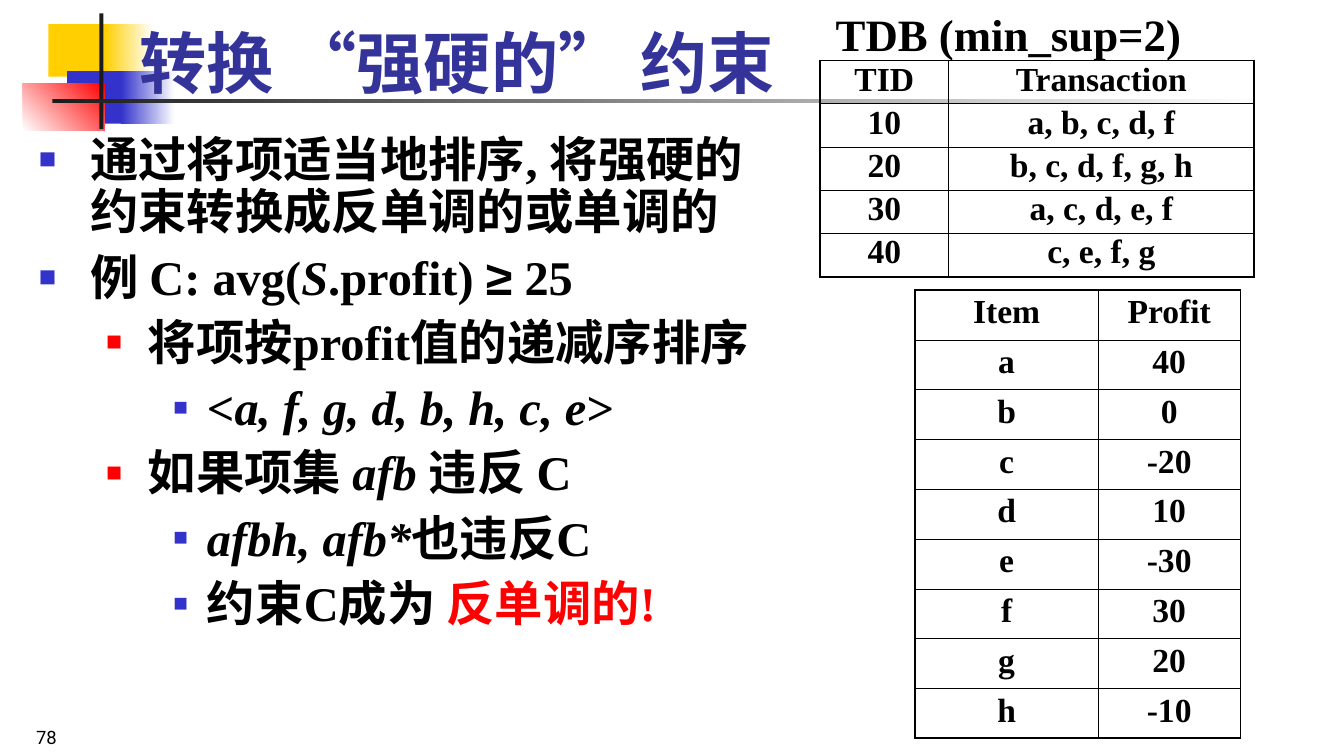
from lxml.etree import SubElement
from pptx import Presentation
from pptx.dml.color import RGBColor
from pptx.enum.shapes import MSO_SHAPE
from pptx.enum.text import MSO_ANCHOR, MSO_AUTO_SIZE, PP_ALIGN
from pptx.oxml.ns import qn
from pptx.util import Inches, Pt

COLORS = {
    "black": "000000", "white": "FFFFFF", "yellow": "FFCF01", "blue": "3333CC",
    "red": "FF0000", "dark": "1C1C1C", "title": "333399",
}
BULLETS = [(0.38, 0.38, "blue", 60), (0.81, 0.31, "red", 55), (1.25, 0.25, "blue", 50)]
ITALIC = {"italic": True}

DECORATIONS = [
    (0.36, 0.18, 0.48, 0.39, ["yellow"], 0),
    (0.78, 0.18, 0.36, 0.39, ["yellow", "white"], 0),
    (0.5, 0.53, 0.46, 0.39, ["blue"], 0),
    (0.9, 0.53, 0.4, 0.39, ["blue", "white"], 0),
    (0.17, 0.62, 0.61, 0.35, ["white", "red"], 45),
    (0.74, 0.1, 0.03, 0.86, ["dark"], 0),
    (0.39, 0.74, 9, 0.03, ["dark", "white"], 0),
]
POINTS = [
    (0, [("通过将项适当地排序, 将强硬的约束转换成反单调的或单调的", {})]),
    (0, [("例 C: avg(", {}), ("S", ITALIC), (".profit) ", {}),
         ("≥", {"font": "Arial"}), (" 25", {})]),
    (1, [("将项按profit值的递减序排序", {})]),
    (2, [("<", {}), ("a, f, g, d, b, h, c, e", ITALIC), (">", {})]),
    (1, [("如果项集 ", {}), ("afb ", ITALIC), ("违反 C", {})]),
    (2, [("afbh, afb*", ITALIC), ("也违反C", {})]),
    (2, [("约束C成为 ", {}), ("反单调的!", {"color": "red"})]),
]
TRANSACTIONS = [
    ("TID", "Transaction"), ("10", "a, b, c, d, f"), ("20", "b, c, d, f, g, h"),
    ("30", "a, c, d, e, f"), ("40", "c, e, f, g"),
]
PROFITS = [
    ("Item", "Profit"), ("a", "40"), ("b", "0"), ("c", "-20"), ("d", "10"),
    ("e", "-30"), ("f", "30"), ("g", "20"), ("h", "-10"),
]


def rgb(name):
    return RGBColor.from_string(COLORS[name])


def add_text(paragraph, text, size=18, font="Times New Roman", color="black",
             bold=True, italic=False):
    run = paragraph.add_run()
    run.text = text
    run.font.size = Pt(size)
    run.font.name = font
    run.font.bold = bold
    run.font.italic = italic
    run.font.color.rgb = rgb(color)


class SlideBuilder:
    """Draws styled elements on the current slide."""

    def __init__(self, slide):
        self.slide = slide
        self.outer, self.inner = Pt(1.08), Pt(0.45)

    def decoration(self, left, top, width, height, colors, angle):
        shape = self.slide.shapes.add_shape(
            MSO_SHAPE.RECTANGLE, *map(Inches, (left, top, width, height)))
        shape.shadow.inherit = False
        shape.line.fill.background()
        if len(colors) == 1:
            shape.fill.solid()
            shape.fill.fore_color.rgb = rgb(colors[0])
            return
        shape.fill.gradient()
        shape.fill.gradient_angle = angle
        for stop, color in zip(shape.fill.gradient_stops, colors):
            stop.color.rgb = rgb(color)

    def placeholder(self, shape, left, top, width, height, anchor):
        self.slide.shapes._spTree.append(shape._element)
        shape.left, shape.top = Inches(left), Inches(top)
        shape.width, shape.height = Inches(width), Inches(height)
        frame = shape.text_frame
        frame.auto_size = MSO_AUTO_SIZE.NONE
        frame.word_wrap = True
        frame.vertical_anchor = anchor
        return frame

    def title(self, text):
        frame = self.placeholder(
            self.slide.shapes.title, 0.94, 0.18, 7.94, 0.63, MSO_ANCHOR.BOTTOM)
        paragraph = frame.paragraphs[0]
        paragraph.alignment = PP_ALIGN.LEFT
        add_text(paragraph, text, size=36, color="title")

    def bullet(self, paragraph, level):
        indent, hanging, color, size = BULLETS[level]
        properties = paragraph._p.get_or_add_pPr()
        properties.set("marL", str(Inches(indent)))
        properties.set("indent", str(-Inches(hanging)))
        bullet_color = SubElement(properties, qn("a:buClr"))
        SubElement(bullet_color, qn("a:srgbClr"), val=COLORS[color])
        SubElement(properties, qn("a:buSzPct"), val=str(size * 1000))
        SubElement(properties, qn("a:buChar"), char="■")

    def body(self, points):
        frame = self.placeholder(
            self.slide.placeholders[1], 0.19, 0.96, 5.6, 4.51, MSO_ANCHOR.TOP)
        for index, (level, runs) in enumerate(points):
            paragraph = frame.add_paragraph() if index else frame.paragraphs[0]
            paragraph.level = level
            paragraph.line_spacing = 0.9
            paragraph.space_before = Pt(7 if index else 0)
            self.bullet(paragraph, level)
            for text, style in runs:
                add_text(paragraph, text, size=25.9, **style)

    def label(self, text, left, top, width, height, anchor=MSO_ANCHOR.TOP,
              wrap=True, **style):
        box = self.slide.shapes.add_textbox(*map(Inches, (left, top, width, height)))
        frame = box.text_frame
        frame.word_wrap = wrap
        frame.vertical_anchor = anchor
        add_text(frame.paragraphs[0], text, **style)

    def border(self, cell, side, width):
        line = SubElement(cell._tc.get_or_add_tcPr(), qn(f"a:{side}"), w=str(width))
        fill = SubElement(line, qn("a:solidFill"))
        SubElement(fill, qn("a:srgbClr"), val=COLORS["black"])

    def table(self, rows, left, top, column_widths, row_height, spacing):
        last_row, last_column = len(rows) - 1, len(column_widths) - 1
        table = self.slide.shapes.add_table(
            len(rows), len(column_widths), Inches(left), Inches(top),
            Inches(sum(column_widths)), Inches(row_height * len(rows))).table
        table.first_row = table.horz_banding = False
        for column, width in zip(table.columns, column_widths):
            column.width = Inches(width)
        for row_index, values in enumerate(rows):
            for column_index, value in enumerate(values):
                cell = table.cell(row_index, column_index)
                edges = {"lnL": column_index == 0, "lnR": column_index == last_column,
                         "lnT": row_index == 0, "lnB": row_index == last_row}
                for side, is_outer in edges.items():
                    self.border(cell, side, self.outer if is_outer else self.inner)
                cell.fill.background()
                paragraph = cell.text_frame.paragraphs[0]
                paragraph.alignment = PP_ALIGN.CENTER
                paragraph.line_spacing = spacing
                add_text(paragraph, value)


def main():
    presentation = Presentation()
    presentation.slide_width = Inches(10)
    presentation.slide_height = presentation.slide_width * 9 // 16
    builder = SlideBuilder(presentation.slides.add_slide(presentation.slide_layouts[1]))
    for decoration in DECORATIONS:
        builder.decoration(*decoration)
    builder.label("78", 0.17, 5.31, 2.75, 0.31, anchor=MSO_ANCHOR.BOTTOM,
                  size=9.9, font="Roboto", bold=False)
    builder.title("转换 “强硬的” 约束")
    builder.body(POINTS)
    builder.table(TRANSACTIONS, 6.1, 0.45, (0.96, 2.27), 0.32, 0.8)
    builder.label("TDB (min_sup=2)", 6.12, 0, 2.77, 0.5, wrap=False, size=24)
    builder.table(PROFITS, 6.81, 2.16, (1.36, 1.06), 0.37, 0.9)
    presentation.save("out.pptx")


if __name__ == "__main__":
    main()
